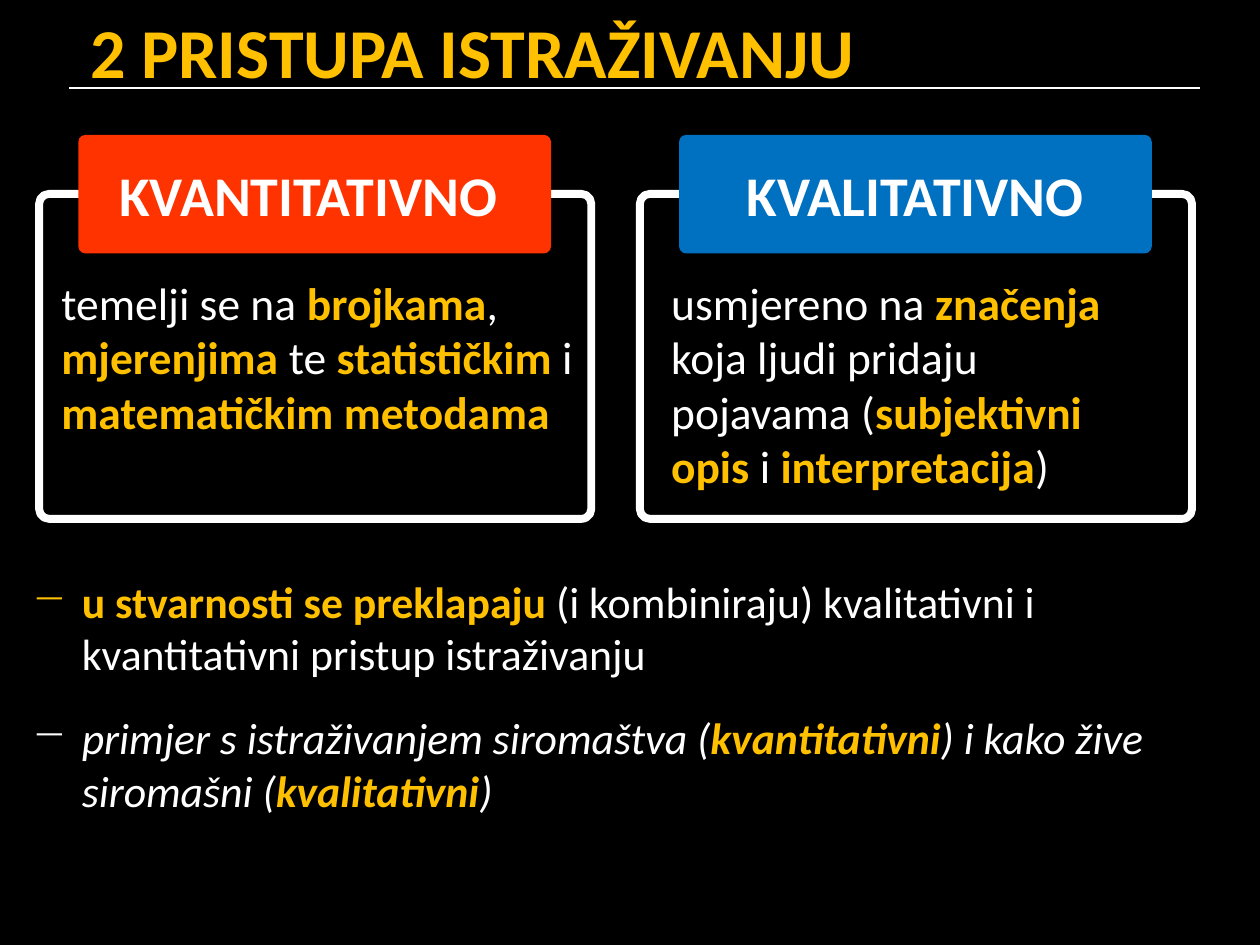
from lxml.etree import SubElement
from pptx import Presentation
from pptx.dml.color import RGBColor
from pptx.enum.shapes import MSO_CONNECTOR as Connector, MSO_SHAPE as Shape
from pptx.enum.text import MSO_ANCHOR as Anchor, PP_ALIGN as Align
from pptx.oxml.ns import qn
from pptx.util import Cm, Pt

# Content: text between asterisks is emphasised
TITLE = "*2 PRISTUPA ISTRAŽIVANJU*"
APPROACHES = [
    dict(heading="*KVANTITATIVNO *", color="red", text_left=0.99, text_size=(10.92, 3.58),
         text="temelji se na *brojkama*, *mjerenjima* te *statističkim* i "
              "*matematičkim metodama*"),
    dict(heading="*KVALITATIVNO*", color="blue", text_left=13.28, text_size=(10.31, 4.7),
         text="usmjereno na *značenja* koja ljudi pridaju pojavama "
              "(*subjektivni opis *i *interpretacija*)"),
]
REMARKS = [
    dict(text="*u stvarnosti se preklapaju *(i kombiniraju) kvalitativni i "
              "kvantitativni pristup istraživanju"),
    dict(text="primjer s istraživanjem siromaštva (*kvantitativni*) i kako žive "
              "siromašni (*kvalitativni*)", italic=True, before=18),
]

THEME = dict(
    font="Calibri",
    black=RGBColor.from_string("000000"), white=RGBColor.from_string("FFFFFF"),
    gold=RGBColor.from_string("FFC000"), red=RGBColor.from_string("FF3300"),
    blue=RGBColor.from_string("0070C0"),
    title=40, heading=32, approach=26, remark=25,
)

# Layout in centimetres
FRAME_LEFT, FRAME_TOP, FRAME_WIDTH, FRAME_HEIGHT = 0.79, 3.91, 11.13, 6.55
COLUMN_STEP = 12.11
HEADING_INSET, HEADING_TOP, HEADING_WIDTH, HEADING_HEIGHT = 0.79, 2.72, 9.53, 2.39


def write(paragraph, text, size, emphasis="gold", italic=None, align=None,
          before=None, bullet=None):
    """Fill a paragraph, giving the parts between asterisks the emphasis colour."""
    if bullet:
        props = paragraph._p.get_or_add_pPr()
        props.set("marL", str(Cm(1.4)))
        props.set("indent", str(-Cm(1)))
        SubElement(props, qn("a:buChar"), char=bullet)
    if align is not None:
        paragraph.alignment = align
    if before:
        paragraph.space_before = Pt(before)
    for index, part in enumerate(text.split("*")):
        if not part:
            continue
        run = paragraph.add_run()
        run.text = part
        strong = index % 2 == 1
        font = run.font
        font.name, font.size = THEME["font"], Pt(THEME[size])
        font.bold, font.italic = strong, italic
        font.color.rgb = THEME[emphasis if strong else "white"]


def add_text_frame(slide, left, top, width, height):
    frame = slide.shapes.add_textbox(Cm(left), Cm(top), Cm(width), Cm(height)).text_frame
    frame.word_wrap = True
    return frame


def add_panel(slide, left, top, width, height, rounding):
    panel = slide.shapes.add_shape(
        Shape.ROUNDED_RECTANGLE, Cm(left), Cm(top), Cm(width), Cm(height))
    panel.shadow.inherit = False
    panel.adjustments[0] = rounding
    return panel


def add_approach(slide, column, approach):
    left = FRAME_LEFT + column * COLUMN_STEP

    # White outline
    outline = add_panel(slide, left, FRAME_TOP, FRAME_WIDTH, FRAME_HEIGHT, 0.03)
    outline.fill.background()
    outline.line.color.rgb = THEME["white"]
    outline.line.width = Pt(4.5)

    # Coloured heading over the top edge
    heading = add_panel(slide, left + HEADING_INSET, HEADING_TOP,
                        HEADING_WIDTH, HEADING_HEIGHT, 0.06)
    heading.fill.solid()
    heading.fill.fore_color.rgb = THEME[approach["color"]]
    heading.line.fill.background()
    heading.text_frame.vertical_anchor = Anchor.MIDDLE
    write(heading.text_frame.paragraphs[0], approach["heading"], "heading",
          emphasis="white", align=Align.CENTER)

    # Description
    description = add_text_frame(slide, approach["text_left"], 5.41, *approach["text_size"])
    write(description.paragraphs[0], approach["text"], "approach")


def main():
    deck = Presentation()
    deck.slide_width, deck.slide_height = Cm(25.4), Cm(19.05)
    slide = deck.slides.add_slide(deck.slide_layouts[6])
    slide.background.fill.solid()
    slide.background.fill.fore_color.rgb = THEME["black"]

    # Title and the rule below it
    rule = slide.shapes.add_connector(
        Connector.STRAIGHT, Cm(1.4), Cm(1.78), Cm(24.2), Cm(1.78))
    rule.line.color.rgb = THEME["white"]
    rule.line.width = Pt(1)
    SubElement(rule._element.spPr, qn("a:effectLst"))
    title = add_text_frame(slide, 1.57, 0, 22.66, 1.73)
    title.margin_top = Cm(0.18)
    write(title.paragraphs[0], TITLE, "title")

    # Two approaches side by side
    for column, approach in enumerate(APPROACHES):
        add_approach(slide, column, approach)

    # Remarks
    remarks = add_text_frame(slide, 0, 11.46, 25.4, 4.78)
    for index, remark in enumerate(REMARKS):
        paragraph = remarks.add_paragraph() if index else remarks.paragraphs[0]
        write(paragraph, size="remark", bullet="─", **remark)

    deck.save("out.pptx")


if __name__ == "__main__":
    main()
